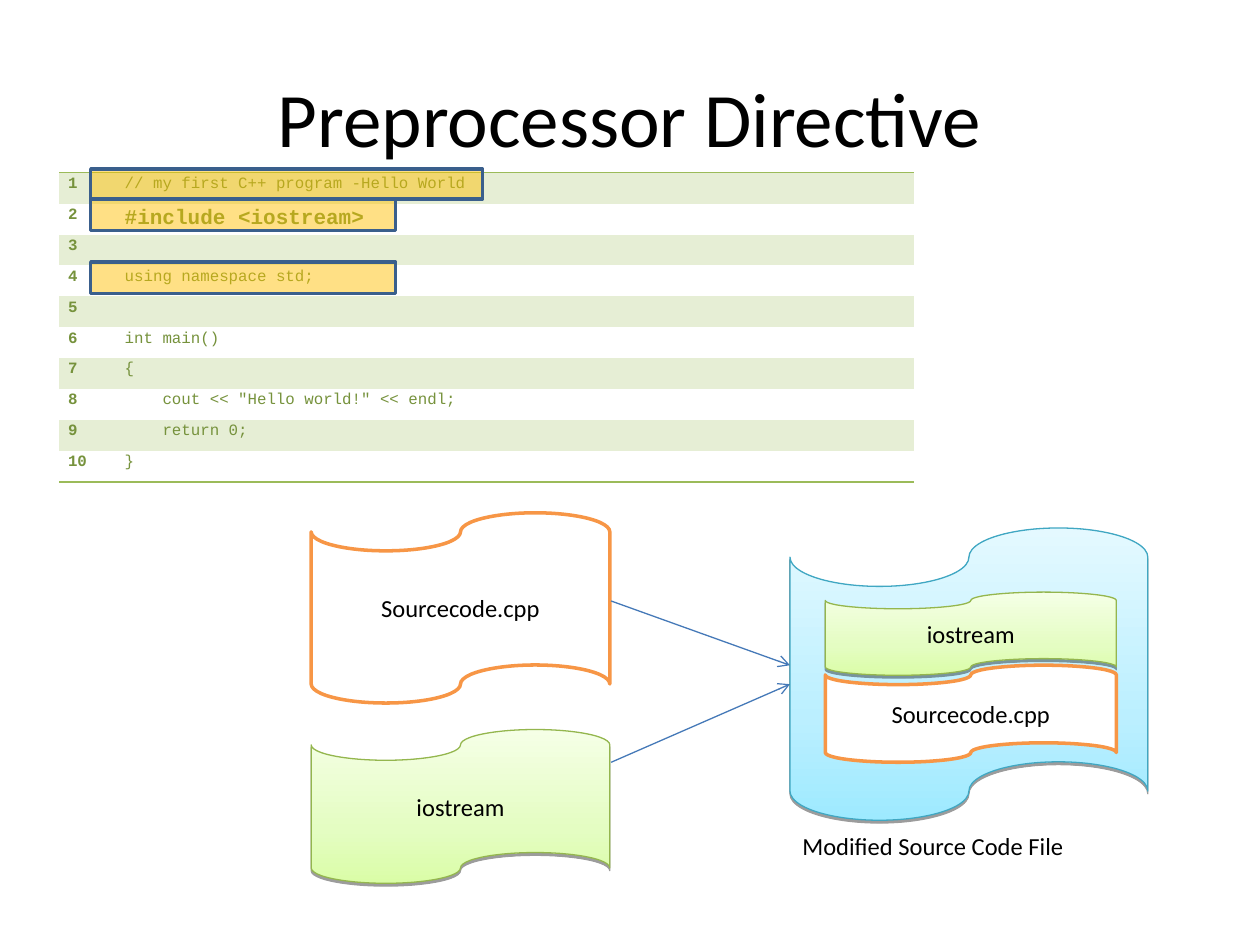
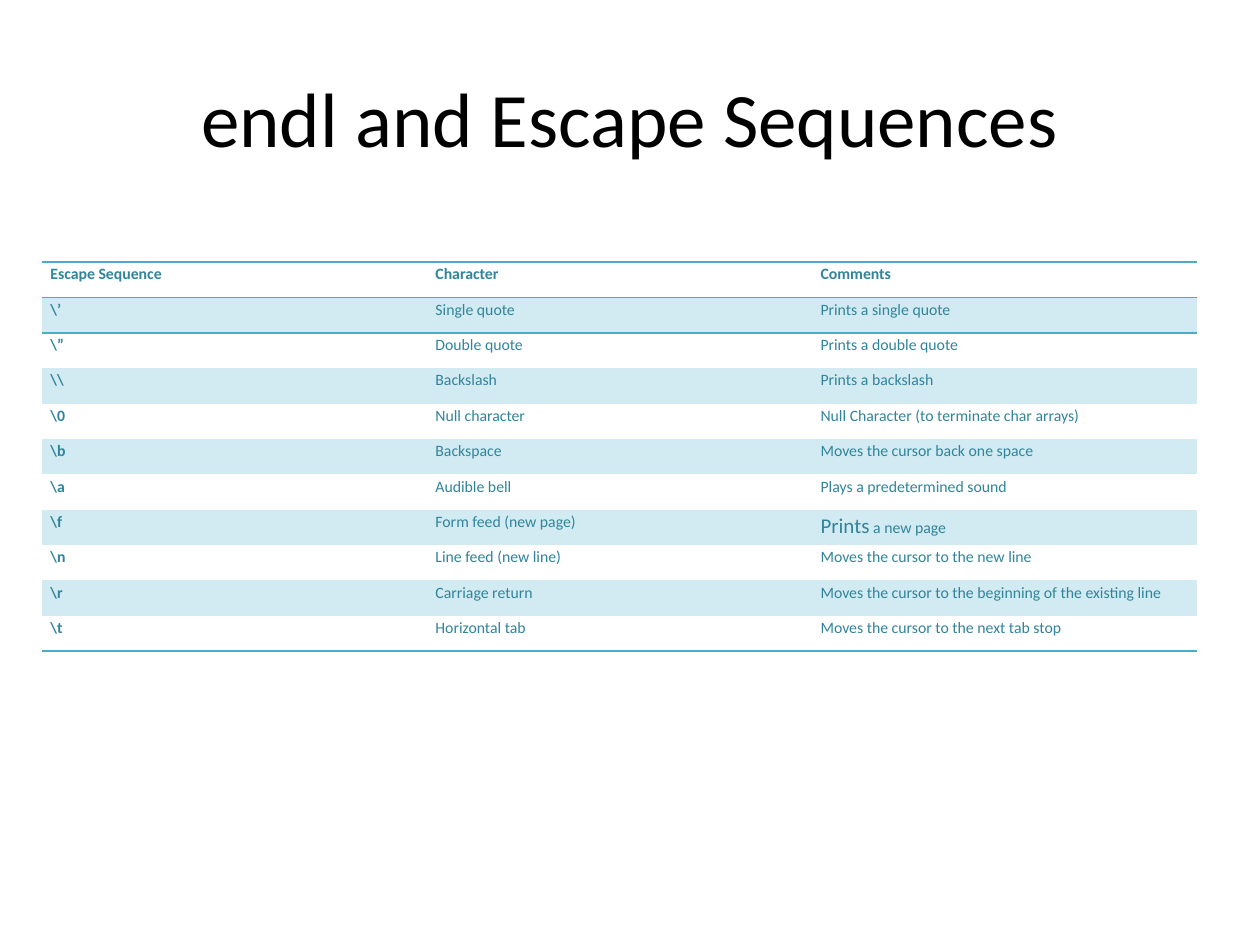
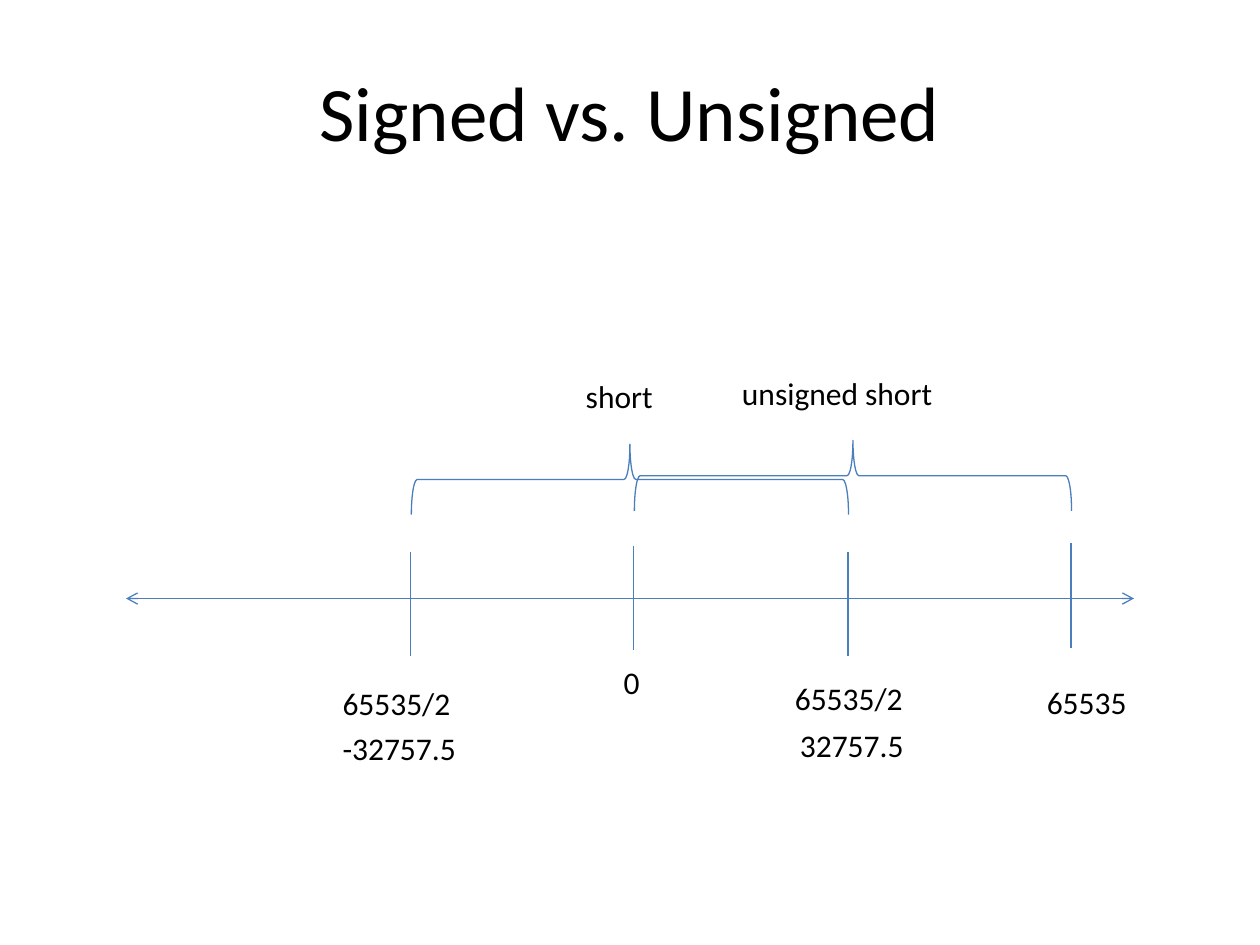
"""Build three slides on C++ basics: preprocessor, escape sequences, signedness."""
from dataclasses import dataclass

from lxml import etree
from pptx import Presentation
from pptx import util as u
from pptx.dml import color
from pptx.enum import shapes, text
from pptx.oxml import ns


@dataclass(frozen=True)
class Palette:
    """Colours and font of one table."""
    ink: str
    band: str
    rule: str
    font: str


@dataclass(frozen=True)
class Theme:
    """Colours, fonts and type sizes that the slides share."""
    font: str = "Calibri"
    black: str = "000000"
    white: str = "FFFFFF"
    orange: str = "F79646"
    amber: str = "FFC000"
    navy: str = "3A5F8C"
    arrow: str = "4579B8"
    axis: str = "4B7EBC"
    green_line: str = "94B64E"
    green_stops: tuple = ((0, "DAFDA7"), (35, "E4FDC2"), (100, "F5FFE6"))
    blue_line: str = "40A7C2"
    blue_stops: tuple = ((0, "9EEAFF"), (35, "BBEFFF"), (100, "E4F9FF"))
    code: Palette = Palette("76923C", "E6EED5", "9BBB59", "Courier New")
    escapes: Palette = Palette("31849B", "D2EAF1", "4BACC6", "Calibri")
    title_size: int = 44
    axis_size: int = 18
    label_size: int = 14
    emphasis_size: int = 12
    cell_size: int = 9
    thin: float = 0.75
    thick: float = 2
    plain_table: str = "{2D5ABB26-0587-4C30-8999-92F81FD0307C}"


THEME = Theme()


@dataclass(frozen=True)
class Run:
    """A stretch of cell text with its own format."""
    text: str
    size: int = THEME.cell_size
    bold: bool = False
    indent: float = 0


CODE_LINES = [
    "// my first C++ program -Hello World",
    [Run("#include <iostream>", THEME.emphasis_size, True)],
    "",
    "using namespace std;",
    "",
    "int main()",
    "{",
    [Run('cout << "Hello world!" << endl;', indent=0.3)],
    [Run("return 0;", indent=0.3)],
    "}",
]

ESCAPE_ROWS = [
    ("Escape Sequence", "Character", "Comments"),
    ("\\’", "Single quote", "Prints a single quote"),
    ("\\”", "Double quote", "Prints a double quote"),
    ("\\\\", "Backslash", "Prints a backslash"),
    ("\\0", "Null character", "Null Character (to terminate char arrays)"),
    ("\\b", "Backspace", "Moves the cursor back one space"),
    ("\\a", "Audible bell", "Plays a predetermined sound"),
    ("\\f", "Form feed (new page)",
     [Run("Prints", THEME.emphasis_size), Run(" a new page")]),
    ("\\n", "Line feed (new line)", "Moves the cursor to the new line"),
    ("\\r", "Carriage return",
     "Moves the cursor to the beginning of the existing line"),
    ("\\t", "Horizontal tab", "Moves the cursor to the next tab stop"),
]


def rgb(value):
    """Turn a hex string into a colour."""
    return color.RGBColor.from_string(value)


def add_element(parent, tag, **attributes):
    """Append an XML child in the drawing namespace."""
    values = {name: str(value) for name, value in attributes.items()}
    return etree.SubElement(parent, ns.qn(tag), values)


def box(left, top, width, height):
    """Turn four numbers of inches into lengths."""
    return [u.Inches(value) for value in (left, top, width, height)]


def write(paragraph, content, *, size, font=THEME.font, ink=THEME.black,
          bold=False, align=None):
    """Append one formatted run to a paragraph."""
    if align is not None:
        paragraph.alignment = align
    run = paragraph.add_run()
    run.text = content
    run.font.name, run.font.size, run.font.bold = font, u.Pt(size), bold
    run.font.color.rgb = rgb(ink)


def add_slide(presentation, title, top=0.3):
    """Add a title-only slide with its title in place."""
    slide = presentation.slides.add_slide(presentation.slide_layouts[5])
    shape = slide.shapes.title
    shape.left, shape.top, shape.width, shape.height = box(0.5, top, 9, 1.25)
    frame = shape.text_frame
    frame.vertical_anchor = text.MSO_ANCHOR.MIDDLE
    write(frame.paragraphs[0], title, size=THEME.title_size,
          align=text.PP_ALIGN.CENTER)
    return slide


def add_figure(canvas, kind, place, *, fill=None, line=None,
               weight=THEME.thin, alpha=None):
    """Add a preset shape with an optional solid fill and outline."""
    shape = canvas.add_shape(kind, *box(*place))
    shape.shadow.inherit = False
    if fill:
        shape.fill.solid()
        shape.fill.fore_color.rgb = rgb(fill)
        if alpha:
            solid = shape._element.spPr.find(ns.qn("a:solidFill"))
            add_element(solid[0], "a:alpha", val=alpha * 1000)
    else:
        shape.fill.background()
    if line:
        shape.line.color.rgb = rgb(line)
        shape.line.width = u.Pt(weight)
    else:
        shape.line.fill.background()
    return shape


def add_gradient(shape, stops):
    """Give a shape an upward gradient and a crisp drop shadow."""
    shape.fill.gradient()
    shape.fill.gradient_angle = 90
    properties = shape._element.spPr
    stop_list = properties.find(f"{ns.qn('a:gradFill')}/{ns.qn('a:gsLst')}")
    for stop in list(stop_list):
        stop_list.remove(stop)
    for position, value in stops:
        stop = add_element(stop_list, "a:gs", pos=position * 1000)
        add_element(stop, "a:srgbClr", val=value)
    shadow = add_element(properties.find(ns.qn("a:effectLst")), "a:outerShdw",
                         blurRad=0, dist=u.Pt(1.6), dir=90 * 60000,
                         rotWithShape=0)
    shade = add_element(shadow, "a:srgbClr", val=THEME.black)
    add_element(shade, "a:alpha", val=38000)


def add_file(canvas, place, label="", *, line, stops=None, weight=THEME.thin):
    """Add a punched tape that stands for a file."""
    shape = add_figure(canvas, shapes.MSO_SHAPE.FLOWCHART_PUNCHED_TAPE, place,
                       fill=THEME.white, line=line, weight=weight)
    if stops:
        add_gradient(shape, stops)
    if label:
        frame = shape.text_frame
        frame.vertical_anchor = text.MSO_ANCHOR.MIDDLE
        write(frame.paragraphs[0], label, size=THEME.label_size,
              align=text.PP_ALIGN.CENTER)


def add_line(canvas, start, end, ink, *, head=False, tail=False):
    """Add a thin straight line with optional arrowheads."""
    points = [u.Inches(value) for value in (*start, *end)]
    line = canvas.add_connector(shapes.MSO_CONNECTOR.STRAIGHT, *points)
    line.line.color.rgb = rgb(ink)
    line.line.width = u.Pt(THEME.thin)
    properties = line._element.spPr
    outline = properties.find(ns.qn("a:ln"))
    for wanted, tag in ((head, "a:headEnd"), (tail, "a:tailEnd")):
        if wanted:
            add_element(outline, tag, type="arrow")
    add_element(properties, "a:effectLst")


def add_label(slide, content, left, top, width, height=0.4):
    """Add a text box for the number line."""
    frame = slide.shapes.add_textbox(*box(left, top, width, height)).text_frame
    frame.word_wrap = True
    frame.auto_size = text.MSO_AUTO_SIZE.SHAPE_TO_FIT_TEXT
    write(frame.paragraphs[0], content, size=THEME.axis_size)


def add_rule(cell, tag, ink):
    """Draw one border of a table cell."""
    border = add_element(cell._tc.get_or_add_tcPr(), tag, w=u.Pt(1))
    add_element(add_element(border, "a:solidFill"), "a:srgbClr", val=ink)


def fill_cell(cell, content, palette, bold):
    """Write the text of one table cell."""
    cell.margin_left = cell.margin_right = u.Inches(0.07)
    cell.margin_top = cell.margin_bottom = 0
    paragraph = cell.text_frame.paragraphs[0]
    paragraph.line_spacing = 1.15
    if not content:
        add_element(paragraph._p, "a:endParaRPr", sz=THEME.cell_size * 100)
        return
    runs = [Run(content, bold=bold)] if isinstance(content, str) else content
    for run in runs:
        write(paragraph, run.text, size=run.size, font=palette.font,
              ink=palette.ink, bold=run.bold)
        if run.indent:
            paragraph._p.get_or_add_pPr().set(
                "marL", str(u.Inches(run.indent)))


def add_grid(slide, left, top, widths, row_height, rows, palette, *,
             header=False):
    """Add a banded table ruled above, below and under its header."""
    place = box(left, top, sum(widths), row_height * len(rows))
    table = slide.shapes.add_table(len(rows), len(widths), *place).table
    table.first_row = table.horz_banding = False
    table._tbl.tblPr.find(ns.qn("a:tableStyleId")).text = THEME.plain_table
    for column, width in zip(table.columns, widths):
        column.width = u.Inches(width)
    for row, values in enumerate(rows):
        is_header = header and row == 0
        table.rows[row].height = u.Inches(row_height)
        for column, content in enumerate(values):
            cell = table.cell(row, column)
            fill_cell(cell, content, palette, is_header or column == 0)
            if row == 0 or header and row == 1:
                add_rule(cell, "a:lnT", palette.rule)
            if is_header or row == len(rows) - 1:
                add_rule(cell, "a:lnB", palette.rule)
            if row % 2 == int(header):
                cell.fill.solid()
                cell.fill.fore_color.rgb = rgb(palette.band)
            else:
                cell.fill.background()


def build_preprocessor(presentation):
    """Show a program and how its included file is merged in."""
    slide = add_slide(presentation, "Preprocessor Directive")
    canvas = slide.shapes.add_group_shape().shapes
    source = dict(label="Sourcecode.cpp", line=THEME.orange,
                  weight=THEME.thick)
    library = dict(label="iostream", line=THEME.green_line,
                   stops=THEME.green_stops)
    add_file(canvas, (2.47, 4.07, 2.37, 1.51), **source)
    add_file(canvas, (2.47, 5.79, 2.37, 1.22), **library)
    for start, end in ((4.77, 5.28), (6.05, 5.43)):
        add_line(canvas, (4.85, start), (6.27, end), THEME.arrow, tail=True)
    add_file(canvas, (6.27, 4.19, 2.84, 2.32), line=THEME.blue_line,
             stops=THEME.blue_stops)
    add_file(canvas, (6.55, 4.7, 2.31, 0.66), **library)
    add_file(canvas, (6.55, 5.28, 2.31, 0.77), **source)
    caption = add_figure(canvas, shapes.MSO_SHAPE.RECTANGLE,
                         (6.27, 6.55, 3.36, 0.56), fill=THEME.white)
    caption.text_frame.vertical_anchor = text.MSO_ANCHOR.TOP
    write(caption.text_frame.paragraphs[0], "Modified Source Code File",
          size=THEME.label_size, align=text.PP_ALIGN.LEFT)
    rows = [(str(number), line) for number, line in enumerate(CODE_LINES, 1)]
    add_grid(slide, 0.47, 1.37, (0.45, 6.33), 0.246, rows, THEME.code)
    for top, width, height in ((1.58, 2.42, 0.25), (2.08, 2.42, 0.25),
                               (1.34, 3.11, 0.24)):
        add_figure(slide.shapes, shapes.MSO_SHAPE.RECTANGLE,
                   (0.72, top, width, height), fill=THEME.amber, alpha=48,
                   line=THEME.navy, weight=THEME.thick)


def build_escapes(presentation):
    """List the escape sequences."""
    slide = add_slide(presentation, "endl and Escape Sequences")
    add_grid(slide, 0.33, 2.08, [9.17 / 3] * 3, 0.281, ESCAPE_ROWS,
             THEME.escapes, header=True)


def build_signedness(presentation):
    """Compare the two short ranges on a number line."""
    slide = add_slide(presentation, "Signed vs. Unsigned", top=0.25)
    add_line(slide.shapes, (1, 4.75), (9, 4.75), THEME.axis,
             head=True, tail=True)
    for left, top in ((5.03, 4.33), (8.5, 4.31), (3.26, 4.38), (6.73, 4.38)):
        add_line(slide.shapes, (left, top), (left, top + 0.83), THEME.axis)
    for left, top in ((6.49, 2.04), (4.72, 2.07)):
        brace = add_figure(slide.shapes, shapes.MSO_SHAPE.RIGHT_BRACE,
                           (left, top, 0.56, 3.47), line=THEME.axis)
        brace.rotation = 270
    add_label(slide, "0", 4.85, 5.21, 0.58, 0.42)
    add_label(slide, "65535", 8.21, 5.37, 1.04)
    add_label(slide, "unsigned short", 5.79, 2.92, 2.42)
    add_label(slide, "short", 4.55, 2.94, 1.21)
    add_label(slide, "65535/2", 6.21, 5.34, 1.29)
    add_label(slide, "65535/2", 2.62, 5.38, 1.29)
    add_label(slide, "-32757.5", 2.62, 5.74, 1.29)
    add_label(slide, "32757.5", 6.25, 5.71, 1.29)


def main():
    """Build and save the presentation."""
    presentation = Presentation()
    presentation.slide_width = u.Inches(10)
    presentation.slide_height = u.Inches(7.5)
    build_preprocessor(presentation)
    build_escapes(presentation)
    build_signedness(presentation)
    presentation.save("out.pptx")


main()
